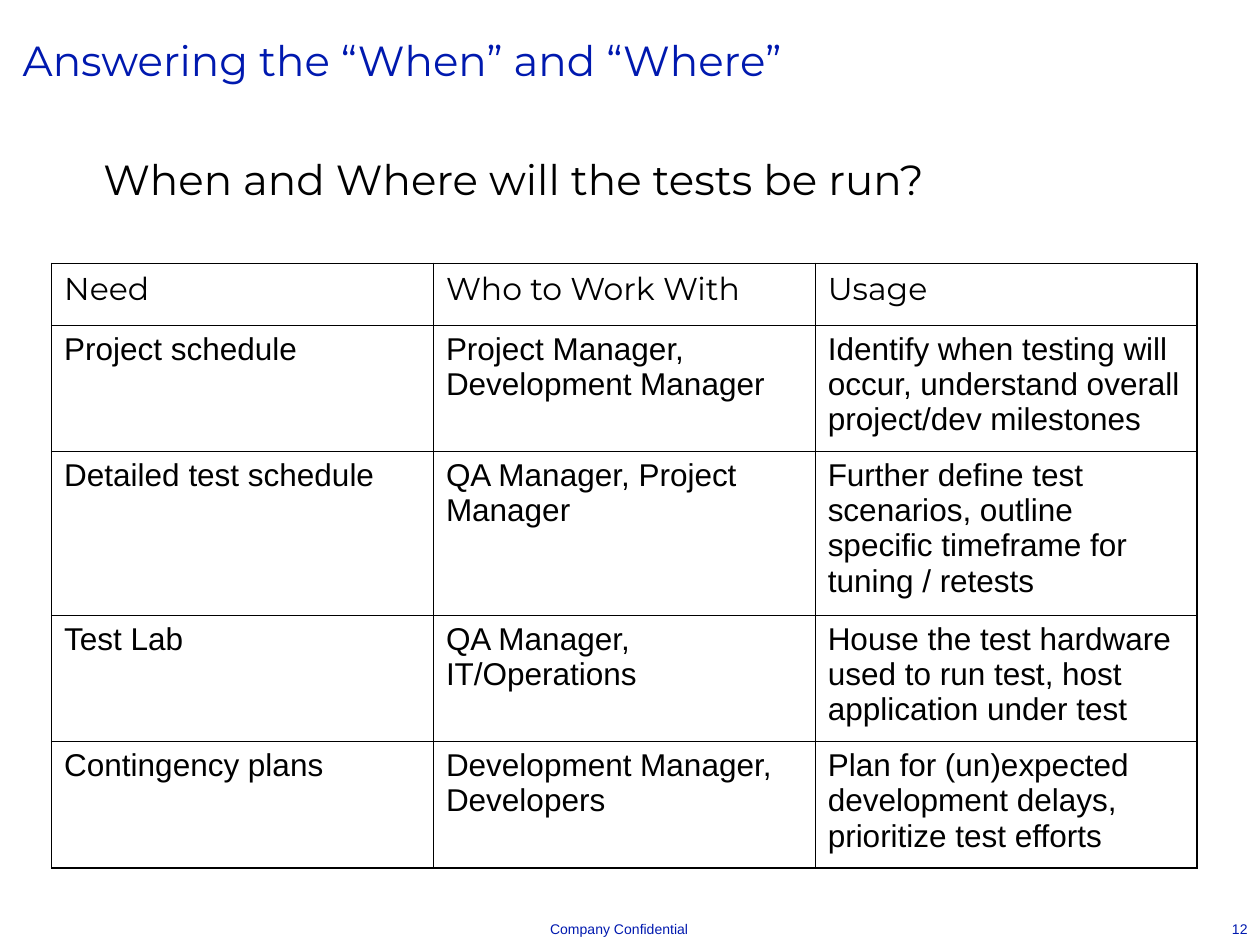
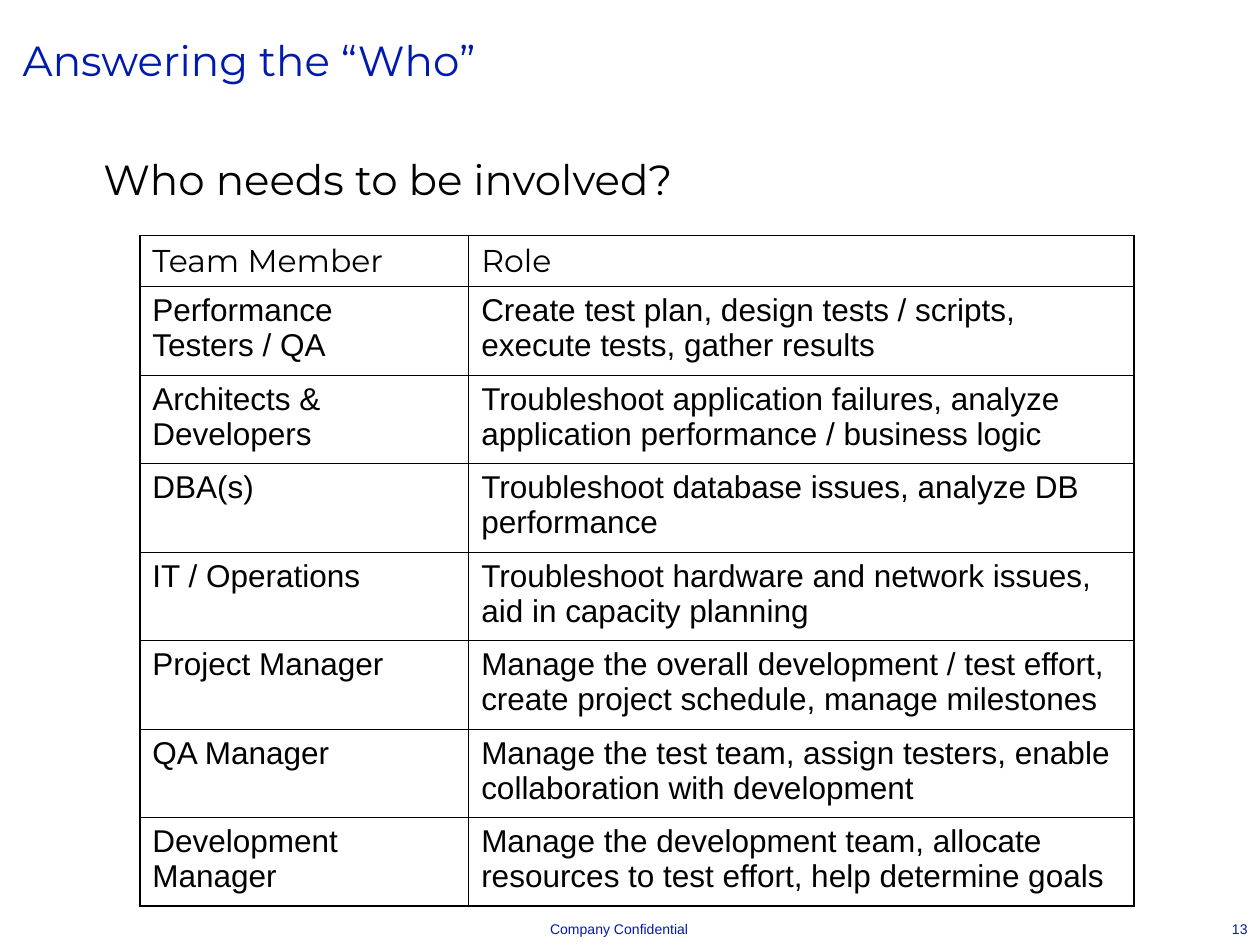
"""Build two test-planning slides: when and where tests run, and who is involved."""
import dataclasses

import lxml.etree
import pptx
import pptx.dml.color
import pptx.enum.shapes
import pptx.enum.text
import pptx.oxml.ns
import pptx.util

Inches, Pt = pptx.util.Inches, pptx.util.Pt
Align, Anchor = pptx.enum.text.PP_ALIGN, pptx.enum.text.MSO_ANCHOR


@dataclasses.dataclass(frozen=True)
class Theme:
    blue: str = "0019AF"
    black: str = "000000"
    white: str = "FFFFFF"
    display: str = "Montserrat"
    text: str = "Arial"
    heading_size: int = 24
    table_size: int = 18
    footer_size: int = 8
    outer_line: float = 1.08
    inner_line: float = 0.45


THEME = Theme()
FIRST_PAGE = 12
CONFIDENTIALITY = "Company Confidential"
TITLE_BOX = (0.08, 0.08, 7.75, 0.85)
CONFIDENTIALITY_BOX = (4.25, 7.33, 1.33, 0.08)
PAGE_BOX = (9.58, 7.33, 0.42, 0.08)
PAGE_PATCH = (9.75, 7.25, 0.25, 0.25)
QUESTION_INDENT = 0.47

SLIDES = [
    {
        "title": "Answering the “When” and “Where”",
        "question": "When and Where will the tests be run?",
        "question_box": (0.25, 1.17, 8, 0.75),
        "corner": (0.41, 2.09),
        "columns": [3.03] * 3,
        "height": 4.8,
        "row_shares": [0.49, 1, 1.3, 1, 1],
        "rows": [
            ("Need", "Who to Work With", "Usage"),
            ("Project schedule", "Project Manager, Development Manager",
             "Identify when testing will occur, understand overall project/dev milestones"),
            ("Detailed test schedule", "QA Manager, Project Manager",
             "Further define test scenarios, outline specific timeframe for tuning / retests"),
            ("Test Lab", "QA Manager, IT/Operations",
             "House the test hardware used to run test, host application under test"),
            ("Contingency plans", "Development Manager, Developers",
             "Plan for (un)expected development delays, prioritize test efforts"),
        ],
    },
    {
        "title": "Answering the “Who”",
        "question": "Who needs to be involved?",
        "question_box": (0.25, 1.17, 6.08, 0.67),
        "corner": (1.11, 1.87),
        "columns": [2.61, 5.28],
        "height": 5.32,
        "row_shares": [0.4] + [0.7] * 7,
        "rows": [
            ("Team Member", "Role"),
            ("Performance Testers / QA",
             "Create test plan, design tests / scripts, execute tests, gather results"),
            ("Architects & Developers",
             "Troubleshoot application failures, analyze application performance / business logic"),
            ("DBA(s)", "Troubleshoot database issues, analyze DB performance"),
            ("IT / Operations",
             "Troubleshoot hardware and network issues, aid in capacity planning"),
            ("Project Manager",
             "Manage the overall development / test effort, create project schedule, manage milestones"),
            ("QA Manager",
             "Manage the test team, assign testers, enable collaboration with development"),
            ("Development Manager",
             "Manage the development team, allocate resources to test effort, help determine goals"),
        ],
    },
]


def rgb(color):
    return pptx.dml.color.RGBColor.from_string(color)


def write(frame, text, font, size, color, align=Align.LEFT):
    paragraph = frame.paragraphs[0]
    paragraph.alignment = align
    run = paragraph.add_run()
    run.text = text
    run.font.name, run.font.size = font, Pt(size)
    run.font.color.rgb = rgb(color)
    return paragraph


def place(shape, box, anchor, inset=0.05, wrap=True):
    shape.left, shape.top, shape.width, shape.height = map(Inches, box)
    frame = shape.text_frame
    frame.auto_size = pptx.enum.text.MSO_AUTO_SIZE.NONE
    frame.word_wrap, frame.vertical_anchor = wrap, anchor
    frame.margin_left = frame.margin_right = Inches(0.1)
    frame.margin_top = frame.margin_bottom = Inches(inset)
    return frame


def add_headings(slide, content):
    title = place(slide.shapes.title, TITLE_BOX, Anchor.MIDDLE)
    write(title, content["title"], THEME.display, THEME.heading_size,
          THEME.blue).line_spacing = 0.85
    question_frame = place(slide.placeholders[1], content["question_box"], Anchor.TOP)
    question = write(question_frame, content["question"], THEME.display,
                     THEME.heading_size, THEME.black)
    question.space_before, question.space_after = Pt(7.5), Pt(6)
    properties = question._p.get_or_add_pPr()
    properties.set("marL", str(Inches(QUESTION_INDENT)))
    properties.set("indent", "0")
    lxml.etree.SubElement(properties, pptx.oxml.ns.qn("a:buNone"))


def add_page_patch(slide):
    patch = slide.shapes.add_shape(pptx.enum.shapes.MSO_SHAPE.RECTANGLE,
                                   *map(Inches, PAGE_PATCH))
    patch.shadow.inherit = False
    patch.fill.solid()
    patch.fill.fore_color.rgb = rgb(THEME.white)
    patch.line.fill.background()


def add_footer(slide, box, text, align):
    footer = slide.shapes.add_textbox(*map(Inches, box))
    frame = place(footer, box, Anchor.MIDDLE, inset=0.03, wrap=False)
    write(frame, text, THEME.text, THEME.footer_size, THEME.blue, align)


def draw_border(cell, side, width):
    qn = pptx.oxml.ns.qn
    line = lxml.etree.SubElement(cell._tc.get_or_add_tcPr(), qn(f"a:ln{side}"),
                                 w=str(Pt(width)))
    fill = lxml.etree.SubElement(line, qn("a:solidFill"))
    lxml.etree.SubElement(fill, qn("a:srgbClr"), val=THEME.black)


def add_grid(slide, content):
    rows, columns, shares = content["rows"], content["columns"], content["row_shares"]
    size = (sum(columns), content["height"])
    table = slide.shapes.add_table(len(rows), len(columns),
                                   *map(Inches, content["corner"] + size)).table
    table.first_row = table.horz_banding = False
    for column, width in zip(table.columns, columns):
        column.width = Inches(width)
    for row, share in zip(table.rows, shares):
        row.height = Inches(content["height"] * share / sum(shares))
    for r, entries in enumerate(rows):
        for c, entry in enumerate(entries):
            cell = table.cell(r, c)
            paragraph = write(cell.text_frame, entry, THEME.text if r else THEME.display,
                              THEME.table_size, THEME.black)
            paragraph.space_before, paragraph.space_after = Pt(5.6), Pt(4.5)
            outer = {"L": c == 0, "R": c == len(columns) - 1,
                     "T": r == 0, "B": r == len(rows) - 1}
            for side, is_outer in outer.items():
                draw_border(cell, side, THEME.outer_line if is_outer else THEME.inner_line)
            cell.fill.background()


def main():
    deck = pptx.Presentation()
    deck.slide_width, deck.slide_height = Inches(10), Inches(7.5)
    background = deck.slide_master.background.fill
    background.solid()
    background.fore_color.rgb = rgb(THEME.white)
    for page, content in enumerate(SLIDES, FIRST_PAGE):
        slide = deck.slides.add_slide(deck.slide_layouts[1])
        add_page_patch(slide)
        add_headings(slide, content)
        add_grid(slide, content)
        add_footer(slide, CONFIDENTIALITY_BOX, CONFIDENTIALITY, Align.CENTER)
        add_footer(slide, PAGE_BOX, str(page), Align.RIGHT)
    deck.save("out.pptx")


if __name__ == "__main__":
    main()
